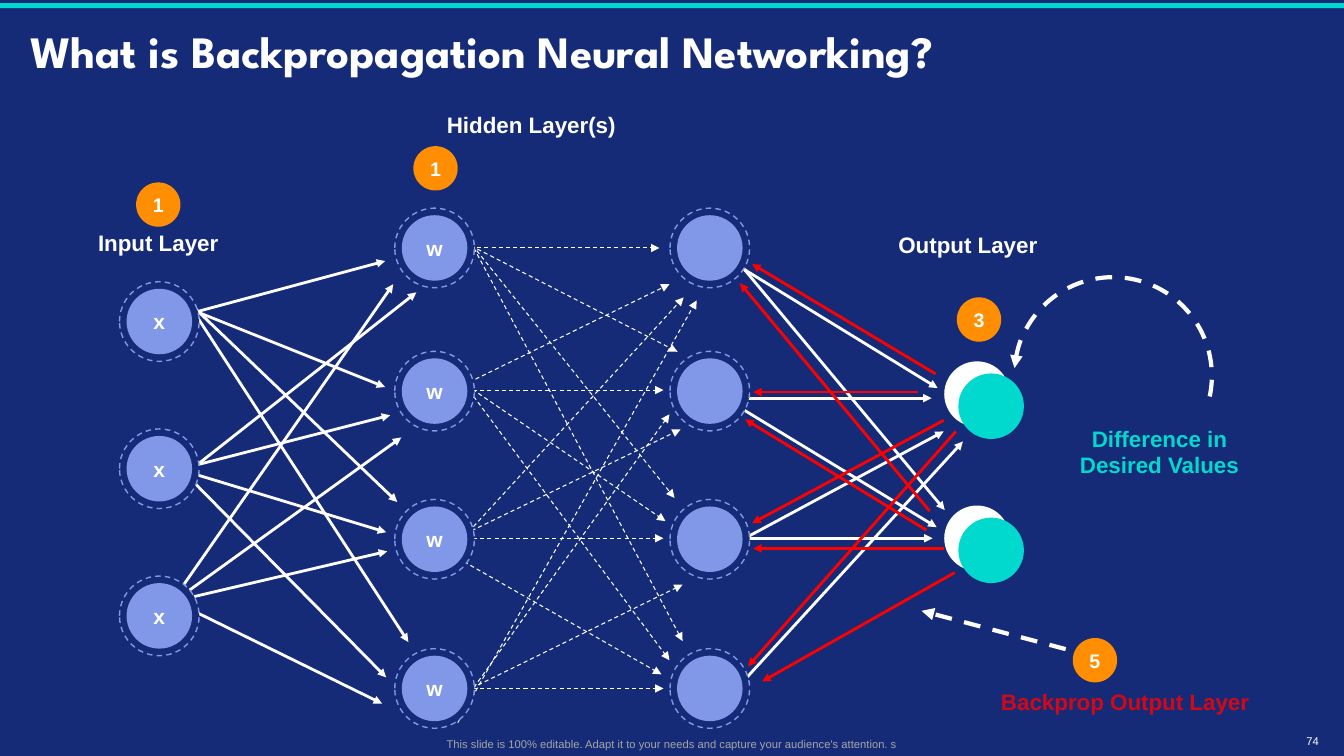
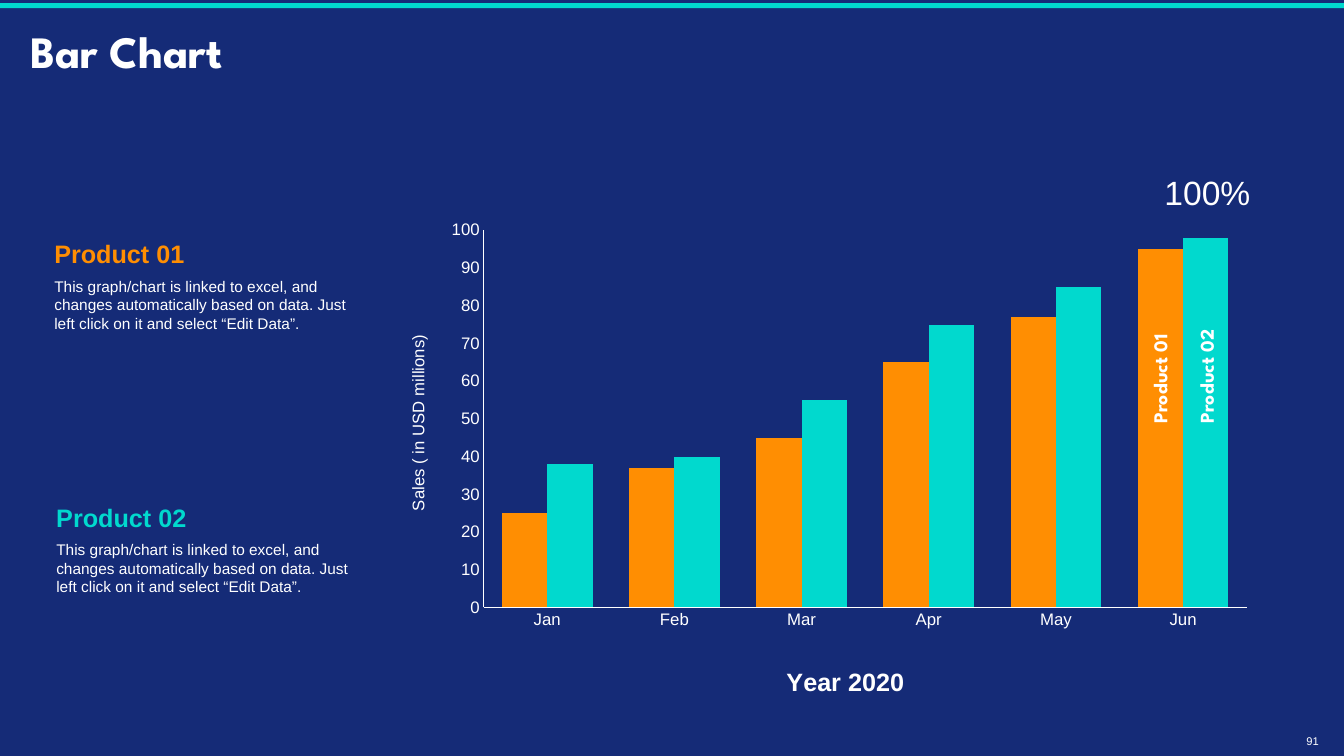
from dataclasses import dataclass

from lxml.etree import Element, SubElement
from pptx import Presentation
from pptx.chart.data import CategoryChartData
from pptx.dml.color import RGBColor
from pptx.enum.chart import XL_CHART_TYPE, XL_TICK_MARK
from pptx.enum.dml import MSO_LINE
from pptx.enum.shapes import MSO_CONNECTOR, MSO_SHAPE
from pptx.enum.text import MSO_ANCHOR, PP_ALIGN
from pptx.oxml.ns import qn
from pptx.util import Inches, Pt

COLUMNS, ROWS = 13.33, 7.5
NAVY, TEAL, ORANGE, PERIWINKLE = "152B77", "01D9CE", "FF8E02", "8198E9"
WHITE, RED, CRIMSON, GREY = "FFFFFF", "FF0000", "D30816", "A6A6A6"
BODY_FONT, DISPLAY_FONT = "Arial", "League Spartan"
CENTER, MIDDLE = PP_ALIGN.CENTER, MSO_ANCHOR.MIDDLE


@dataclass
class Box:
    left: float
    top: float
    width: float
    height: float

    def inside(self, left, top, width, height):
        return Box(self.left + left, self.top + top, width, height)

    def around(self, x, y, size):
        return self.inside(x - size / 2, y - size / 2, size, size)

    def emu(self):
        return [Inches(n) for n in (self.left, self.top, self.width, self.height)]


PAGE = Box(0, 0, COLUMNS, ROWS)


def color(hex_text):
    return RGBColor.from_string(hex_text)


def write(frame, text, size=16, ink=WHITE, font=BODY_FONT, bold=False, align=None, spacing=None):
    para = frame.paragraphs[0]
    para.alignment = align
    if spacing:
        para.line_spacing = spacing
    span = para.add_run()
    span.text = text
    span.font.size = Pt(size)
    span.font.name = font
    span.font.bold = bold
    span.font.color.rgb = color(ink)


def trim(frame):
    frame.margin_left = frame.margin_right = frame.margin_top = frame.margin_bottom = 0


def label(page, box, text, anchor=MSO_ANCHOR.TOP, rotation=0, tight=False, **style):
    shape = page.shapes.add_textbox(*box.emu())
    shape.rotation = rotation
    frame = shape.text_frame
    frame.word_wrap = True
    frame.vertical_anchor = anchor
    if tight:
        trim(frame)
    write(frame, text, **style)


def outline(line, ink, width, dashed=False):
    line.color.rgb = color(ink)
    line.width = Pt(width)
    if dashed:
        line.dash_style = MSO_LINE.DASH


def solid(page, kind, box, fill, border=None):
    shape = page.shapes.add_shape(kind, *box.emu())
    shape.shadow.inherit = False
    shape.fill.solid()
    shape.fill.fore_color.rgb = color(fill)
    if border:
        outline(shape.line, border, 1, dashed=True)
    else:
        shape.line.fill.background()
    return shape


def disc(page, box, fill, text=None, size=15, border=None):
    shape = solid(page, MSO_SHAPE.OVAL, box, fill, border)
    if text:
        trim(shape.text_frame)
        shape.text_frame.vertical_anchor = MIDDLE
        write(shape.text_frame, text, size=size, bold=True, align=CENTER)


def add_arrowhead(shape, end):
    SubElement(shape._element.spPr.find(qn("a:ln")), qn(f"a:{end}"), type="triangle")


def arrow(page, box, route, ink=WHITE, width=0, dashed=False):
    x1, y1, x2, y2 = route
    line = page.shapes.add_connector(
        MSO_CONNECTOR.STRAIGHT,
        Inches(box.left + x1), Inches(box.top + y1),
        Inches(box.left + x2), Inches(box.top + y2),
    )
    outline(line.line, ink, width, dashed)
    add_arrowhead(line, "tailEnd")
    SubElement(line._element.spPr, qn("a:effectLst"))


def add_page(deck, title, number):
    page = deck.slides.add_slide(deck.slide_layouts[6])
    solid(page, MSO_SHAPE.RECTANGLE, PAGE.inside(0, 0.03, COLUMNS, 0.05), TEAL)
    label(page, PAGE.inside(0.2, 0.1, 12.93, 0.88), title, anchor=MIDDLE,
          size=32, font=DISPLAY_FONT, bold=True, spacing=0.9)
    label(page, PAGE.inside(12.82, 7.28, 0.4, 0.14), number, anchor=MIDDLE, tight=True,
          size=8, align=CENTER)
    return page


INPUT_ROUTES = [
    (0.4, 5.2, 2.98, 3.34), (0.53, 5.22, 2.9, 1.82), (0.45, 5.03, 2.84, 4.47),
    (0.47, 4.84, 2.79, 5.98), (0.57, 3.71, 2.87, 3.12), (0.5, 3.97, 3.13, 1.9),
    (0.49, 3.57, 2.83, 4.28), (0.78, 3.64, 2.83, 5.72), (0.62, 1.96, 2.82, 2.84),
    (0.59, 2.19, 2.82, 1.59), (0.84, 1.97, 2.94, 3.98), (0.81, 1.92, 3.05, 5.37),
]
HIDDEN_ROUTES = [
    (3.55, 5.89, 5.77, 4.8), (3.45, 6.17, 5.64, 3.11), (3.69, 5.83, 5.58, 5.83),
    (3.54, 6.17, 5.91, 1.98), (3.42, 4.39, 5.75, 3.26), (3.23, 4.36, 5.56, 5.69),
    (3.26, 4.7, 5.78, 1.95), (3.69, 4.34, 5.58, 4.34), (3.33, 2.62, 5.6, 4.17),
    (3.69, 2.87, 5.58, 2.87), (3.57, 2.76, 5.64, 5.55), (3.33, 2.95, 5.64, 1.82),
    (3.46, 1.15, 5.69, 3.94), (3.66, 1.46, 5.54, 1.46), (3.48, 1.34, 5.72, 2.49),
    (3.7, 1.46, 5.77, 5.36),
]
OUTPUT_ROUTES = [
    (5.96, 4.57, 8.36, 3.28), (6.36, 1.66, 8.3, 2.85), (6.23, 1.49, 8.37, 4.06),
    (6.35, 3.05, 8.29, 4.23), (6.17, 5.98, 8.55, 3.38), (6.35, 2.95, 8.24, 2.95),
    (6.36, 4.34, 8.25, 4.34),
]
BACKWARD_ROUTES = [
    (8.47, 4.68, 6.56, 5.76), (8.48, 3.28, 6.42, 5.61), (8.36, 4.44, 6.47, 4.44),
    (8.36, 3.17, 6.46, 4.19), (8.19, 4.26, 6.39, 3.16), (8.1, 2.89, 6.47, 2.89),
    (8.28, 2.71, 6.46, 1.62), (8.22, 4.07, 6.34, 1.81),
]


def draw_network(page, box):
    for route in OUTPUT_ROUTES:
        arrow(page, box, route)
    for route in HIDDEN_ROUTES:
        arrow(page, box, route, width=0.75, dashed=True)
    for route in INPUT_ROUTES:
        arrow(page, box, route)
    input_rows = [2.19 + 1.46 * row for row in range(3)]
    hidden_rows = [1.46, 2.88, 4.35, 5.83]
    layers = [("x", input_rows), ("w", hidden_rows), (None, hidden_rows)]
    for column, (text, rows) in enumerate(layers):
        x = 0.58 + 2.73 * column
        for y in rows:
            disc(page, box.around(x, y, 0.79), NAVY, border=PERIWINKLE)
            disc(page, box.around(x, y, 0.65), PERIWINKLE, text)
    for route in BACKWARD_ROUTES:
        arrow(page, box, route, ink=RED)
    for y in (2.91, 4.34):
        disc(page, box.around(8.69, y, 0.65), WHITE)
        disc(page, box.around(8.83, y + 0.12, 0.65), TEAL)


def draw_steps(page, box):
    steps = [("1", 1.57, 2.03), ("1", 4.32, 1.67), ("3", 9.71, 3.17), ("5", 10.86, 6.55)]
    for number, x, y in steps:
        disc(page, box.around(x, y, 0.44), ORANGE, number, size=14)
    captions = [
        ("Input Layer", (0.72, 2.22, 1.7, 0.37), WHITE),
        ("Hidden Layer(s)", (4.27, 1.05, 2, 0.37), WHITE),
        ("Output Layer", (8.7, 2.24, 1.8, 0.37), WHITE),
        ("Difference in Desired Values", (10.5, 4.16, 2, 0.64), TEAL),
        ("Backprop Output Layer", (9.71, 6.77, 2.9, 0.37), CRIMSON),
    ]
    for text, place, ink in captions:
        label(page, box.inside(*place), text, anchor=MIDDLE, ink=ink, bold=True, align=CENTER)


def draw_feedback(page, box):
    loop = page.shapes.add_shape(MSO_SHAPE.ARC, *box.inside(0.92, 0, 1.96, 1.96).emu())
    loop.shadow.inherit = False
    loop.fill.background()
    loop.adjustments[0] = 110.76
    loop.adjustments[1] = 9.16
    outline(loop.line, WHITE, 3, dashed=True)
    add_arrowhead(loop, "headEnd")
    arrow(page, box, (1.43, 3.69, 0, 3.31), width=3, dashed=True)


def set_layout(parent, index, target=None, **shares):
    layout = parent.find(qn("c:layout"))
    if layout is None:
        layout = Element(qn("c:layout"))
        parent.insert(index, layout)
    manual = SubElement(layout, qn("c:manualLayout"))
    if target:
        SubElement(manual, qn("c:layoutTarget"), val=target)
    for mode in ("xMode", "yMode"):
        SubElement(manual, qn(f"c:{mode}"), val="edge")
    for name, share in shares.items():
        SubElement(manual, qn(f"c:{name}"), val=str(share))


def style_axis(axis, title, x, y, rotation=0, **style):
    axis.major_tick_mark = axis.minor_tick_mark = XL_TICK_MARK.NONE
    axis.has_major_gridlines = False
    axis.tick_labels.font.size = Pt(12)
    axis.tick_labels.font.name = BODY_FONT
    axis.tick_labels.font.color.rgb = color(WHITE)
    outline(axis.format.line, WHITE, 0.75)
    frame = axis.axis_title.text_frame
    write(frame, title, **style)
    frame._txBody.find(qn("a:bodyPr")).set("rot", str(rotation * 60000))
    set_layout(axis.axis_title._element, 1, x=x, y=y)


def draw_sales_chart(page, box):
    sales = CategoryChartData(number_format="#,##0")
    sales.categories = ["Jan", "Feb", "Mar", "Apr", "May", "Jun"]
    sales.add_series("Series 1", [25, 37, 45, 65, 77, 95])
    sales.add_series("Series 2", [38, 40, 55, 75, 85, 98])
    chart = page.shapes.add_chart(XL_CHART_TYPE.COLUMN_CLUSTERED, *box.emu(), sales).chart
    chart.has_legend = chart.has_title = False
    chart.font.name = BODY_FONT
    chart.font.size = Pt(10)
    plot = chart.plots[0]
    plot.gap_width = 81
    plot.overlap = 0
    plot.vary_by_categories = False
    for series, fill in zip(plot.series, (ORANGE, TEAL)):
        series.format.fill.solid()
        series.format.fill.fore_color.rgb = color(fill)
    style_axis(chart.category_axis, "Year 2020", 0.45, 0.92, size=18, bold=True)
    style_axis(chart.value_axis, "Sales ( in USD millions)", 0.02, 0.25, rotation=-90, size=12)
    chart.value_axis.minimum_scale = 0
    chart.value_axis.maximum_scale = 100
    chart.value_axis.major_unit = 10
    set_layout(chart._chartSpace.chart.plotArea, 0, "inner", x=0.11, y=0.04, w=0.87, h=0.77)
    label(page, box.inside(7.44, -0.43, 1.39, 0.5), "100%", size=24, align=CENTER)
    for left, name in ((7.06, "Product 01"), (7.52, "Product 02")):
        label(page, box.inside(left, 1.43, 1.21, 0.34), name, rotation=270,
              size=14, font=DISPLAY_FONT, bold=True)


def draw_product(page, box, name, ink):
    label(page, box.inside(0, 0, 1.66, 0.4), name, size=18, ink=ink, bold=True)
    label(page, box.inside(0, 0.38, box.width, 0.66),
          "This graph/chart is linked to excel, and changes automatically based on data. "
          "Just left click on it and select “Edit Data”.", size=11)


def build_network_page(deck):
    page = add_page(deck, "What is Backpropagation Neural Networking?", "74")
    draw_network(page, PAGE.inside(1, 1, 9.2, 6.3))
    draw_feedback(page, PAGE.inside(9.14, 2.75, 2.88, 3.69))
    draw_steps(page, PAGE)
    label(page, PAGE.inside(0.62, 7.26, 12.09, 0.24),
          "This slide is 100% editable. Adapt it to your needs and capture your "
          "audience's attention. s", anchor=MIDDLE, size=8, ink=GREY, align=CENTER)


def build_chart_page(deck):
    page = add_page(deck, "Bar Chart", "91")
    draw_sales_chart(page, PAGE.inside(3.84, 2.09, 8.7, 4.9))
    draw_product(page, PAGE.inside(0.44, 2.32, 3.18, 1.05), "Product 01", ORANGE)
    draw_product(page, PAGE.inside(0.46, 4.93, 3.18, 1.05), "Product 02", TEAL)


def main():
    deck = Presentation()
    deck.slide_width, deck.slide_height = Inches(COLUMNS), Inches(ROWS)
    backdrop = deck.slide_master.background.fill
    backdrop.solid()
    backdrop.fore_color.rgb = color(NAVY)
    build_network_page(deck)
    build_chart_page(deck)
    deck.save("out.pptx")


if __name__ == "__main__":
    main()
